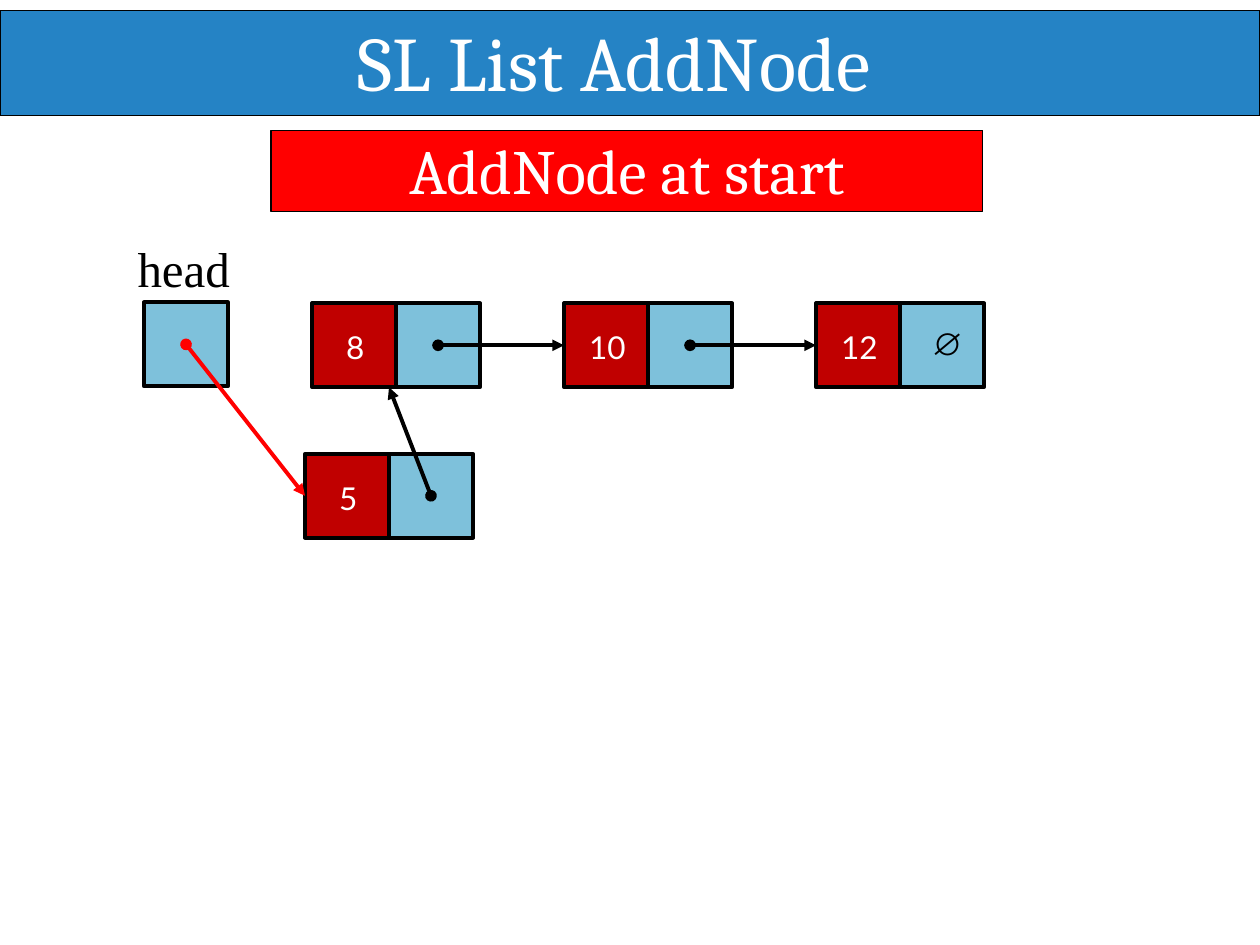
from lxml import etree
from pptx import Presentation
from pptx import util as u
from pptx.dml.color import RGBColor
from pptx.enum import shapes, text
from pptx.oxml.ns import qn

Pt = u.Pt
CELL = 48
NODE_PITCH = 144
BLACK, WHITE, RED = "000000", "FFFFFF", "FF0000"
DATA_FILL, POINTER_FILL = "C00000", "7EC1DB"


def color(value):
    return RGBColor.from_string(value)


def write(shape, content, font, size, ink, align, left=0, top=0.9):
    frame = shape.text_frame
    frame.word_wrap = True
    frame.vertical_anchor = text.MSO_ANCHOR.TOP
    frame.margin_left, frame.margin_top = Pt(left), Pt(top)
    frame.margin_right = frame.margin_bottom = 0
    frame.text = content
    paragraph = frame.paragraphs[0]
    paragraph.alignment = align
    run_font = paragraph.runs[0].font
    run_font.name, run_font.size = font, Pt(size)
    run_font.color.rgb = color(ink)


def add_box(slide, left, top, width, height, fill, line_width):
    shape = slide.shapes.add_shape(
        shapes.MSO_SHAPE.RECTANGLE, Pt(left), Pt(top), Pt(width), Pt(height))
    shape.shadow.inherit = False
    shape.fill.solid()
    shape.fill.fore_color.rgb = color(fill)
    shape.line.color.rgb = color(BLACK)
    shape.line.width = Pt(line_width)
    return shape


def add_cell(slide, left, top, fill):
    return add_box(slide, left, top, CELL, CELL, fill, 2.25)


def add_pointer(slide, start, end, ink=BLACK):
    connector = slide.shapes.add_connector(
        shapes.MSO_CONNECTOR.STRAIGHT, *(Pt(value) for value in (*start, *end)))
    connector.line.color.rgb = color(ink)
    connector.line.width = Pt(2.25)
    line = connector.line._get_or_add_ln()
    etree.SubElement(line, qn("a:headEnd"), type="oval")
    etree.SubElement(line, qn("a:tailEnd"), type="triangle")
    etree.SubElement(connector._element.spPr, qn("a:effectLst"))


def add_title(slide, left, top, width, height):
    add_box(slide, left, top, width, height, "2583C5", 0.75)
    title = slide.shapes.add_textbox(
        Pt(left + 67.7), Pt(top + 1.2), Pt(584.6), Pt(54.7))
    write(title, "SL List AddNode", "Cambria", 44, WHITE, text.PP_ALIGN.LEFT, 136.8)


def add_subtitle(slide, left, top, width, height):
    banner = add_box(slide, left, top, width, height, RED, 0.75)
    write(banner, "AddNode at start", "Cambria", 36, WHITE, text.PP_ALIGN.CENTER)


def add_head(slide, left, top):
    label = slide.shapes.add_textbox(Pt(left - 4.6), Pt(top - 37.5), Pt(58), Pt(35.3))
    write(label, "head", "Times New Roman", 28, BLACK, text.PP_ALIGN.LEFT, 0.9)
    add_cell(slide, left, top, POINTER_FILL)


def add_node(slide, left, top, value):
    pointer = add_cell(slide, left + CELL, top, POINTER_FILL)
    data = add_cell(slide, left, top, DATA_FILL)
    write(data, value, "Lato", 18, WHITE, text.PP_ALIGN.CENTER, 1.5, 14.2)
    return pointer


def add_linked_list(slide, left, top):
    head_left, head_top = left, top
    row_left, row_top = left + 96, top + 0.5
    new_left, new_top = left + 92, top + 86.5
    half = CELL / 2

    add_head(slide, head_left, head_top)
    values = ["8", "10", "12"]
    for index, value in enumerate(values):
        last_pointer = add_node(slide, row_left + index * NODE_PITCH, row_top, value)
    write(last_pointer, "∅", "Arial", 18, BLACK, text.PP_ALIGN.LEFT, 18, 11.8)
    add_node(slide, new_left, new_top, "5")

    middle = row_top + half
    for index in range(len(values) - 1):
        node_left = row_left + index * NODE_PITCH
        add_pointer(slide, (node_left + CELL + half, middle),
                    (node_left + NODE_PITCH, middle))
    add_pointer(slide, (head_left + half, head_top + half),
                (new_left, new_top + half), RED)
    add_pointer(slide, (new_left + CELL + half, new_top + half),
                (new_left + CELL, row_top + CELL))


def main():
    presentation = Presentation()
    presentation.slide_width, presentation.slide_height = Pt(720), Pt(540)
    slide = presentation.slides.add_slide(presentation.slide_layouts[6])
    add_title(slide, 0, 6, 720, 60)
    add_subtitle(slide, 154.8, 74.4, 406.8, 46.4)
    add_linked_list(slide, 82.3, 172.8)
    presentation.save("out.pptx")


if __name__ == "__main__":
    main()
